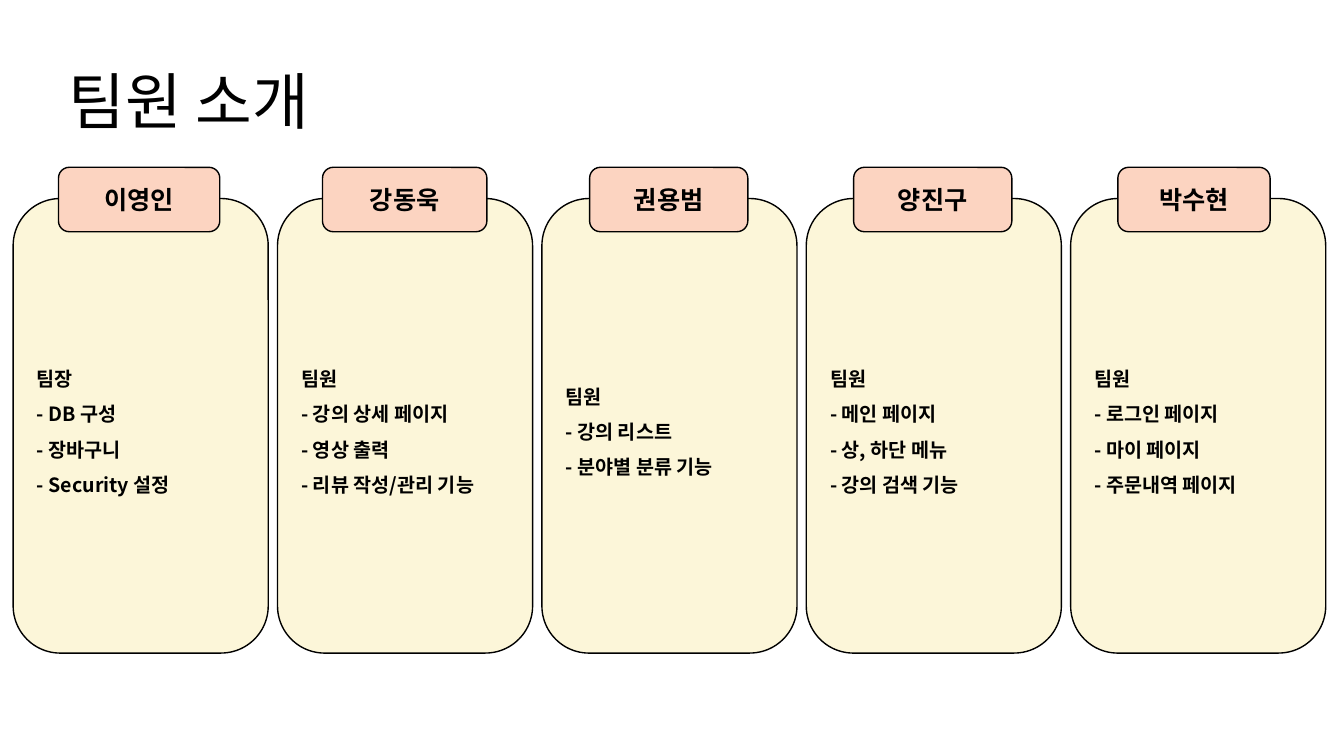
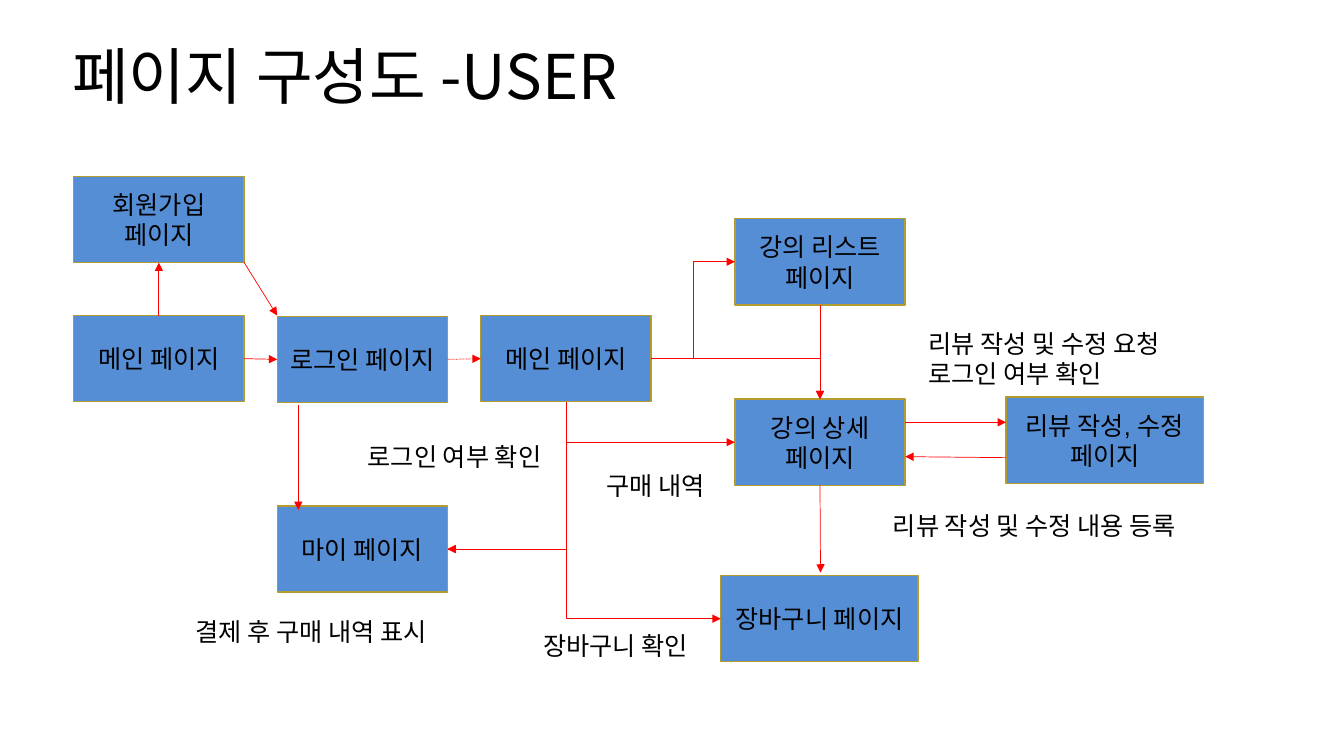
from dataclasses import dataclass

from lxml import etree
from pptx import Presentation
from pptx.dml.color import RGBColor
from pptx.enum.dml import MSO_LINE
from pptx.enum.shapes import MSO_CONNECTOR, MSO_SHAPE
from pptx.enum.text import MSO_ANCHOR, MSO_AUTO_SIZE, PP_ALIGN
from pptx.oxml.ns import qn
from pptx.util import Pt

RECTANGLE = MSO_SHAPE.RECTANGLE
ROUNDED = MSO_SHAPE.ROUNDED_RECTANGLE
STRAIGHT = MSO_CONNECTOR.STRAIGHT
ELBOW = MSO_CONNECTOR.ELBOW
DOTTED = MSO_LINE.ROUND_DOT
MIDDLE = MSO_ANCHOR.MIDDLE
FIT_SHAPE = MSO_AUTO_SIZE.SHAPE_TO_FIT_TEXT
LEFT_ALIGN = PP_ALIGN.LEFT
CENTER = PP_ALIGN.CENTER

# Connection sites of a rectangle
TOP, LEFT, BOTTOM, RIGHT = range(4)


@dataclass(frozen=True)
class Theme:
    ink: RGBColor = RGBColor(0, 0, 0)
    card: RGBColor = RGBColor(0xFC, 0xF6, 0xD9)
    name_tag: RGBColor = RGBColor(0xFC, 0xD4, 0xC1)
    page: RGBColor = RGBColor(0x55, 0x8E, 0xD5)
    page_border: RGBColor = RGBColor(0xB2, 0x9B, 0x2F)
    arrow: RGBColor = RGBColor(0xFF, 0, 0)
    korean_font: str = "Noto Sans CJK KR"
    diagram_font: str = "Arial"
    title_size: int = 44
    label_size: int = 18
    body_size: int = 14


THEME = Theme()

CARD_LEFT, CARD_TOP, CARD_PITCH = 9.4, 141.8, 188.85
CARD_WIDTH, CARD_HEIGHT = 182.2, 324.7
TAG_TOP, TAG_HEIGHT = 119.5, 46

# Name, tag left, tag width, role and duties
MEMBERS = [
    ("이영인", 41.8, 115.2, ["팀장", "- DB 구성", "- 장바구니", "- Security 설정"]),
    ("강동욱", 230.4, 117.4,
     ["팀원", "- 강의 상세 페이지", "- 영상 출력", "- 리뷰 작성/관리 기능"]),
    ("권용범", 421.2, 113, ["팀원", "- 강의 리스트", "- 분야별 분류 기능"]),
    ("양진구", 609.8, 113,
     ["팀원", "- 메인 페이지", "- 상, 하단 메뉴", "- 강의 검색 기능"]),
    ("박수현", 798.5, 108.7,
     ["팀원", "- 로그인 페이지", "- 마이 페이지", "- 주문내역 페이지"]),
]

PAGE_WIDTH, WIDE_PAGE_WIDTH, PAGE_HEIGHT = 121.7, 141.1, 61.6

# Key: text, left, top, width
PAGES = {
    "main": ("메인 페이지", 52.6, 225.4, PAGE_WIDTH),
    "login": ("로그인 페이지", 198, 225.9, PAGE_WIDTH),
    "signup": ("회원가입 페이지", 52.6, 126, PAGE_WIDTH),
    "list": ("강의 리스트 페이지", 524.9, 156.2, PAGE_WIDTH),
    "detail": ("강의 상세 페이지", 524.9, 285.1, PAGE_WIDTH),
    "review": ("리뷰 작성, 수정 페이지", 718.6, 283.7, WIDE_PAGE_WIDTH),
    "my": ("마이 페이지", 198, 361.4, PAGE_WIDTH),
    "cart": ("장바구니 페이지", 514.8, 411.1, WIDE_PAGE_WIDTH),
    "member_main": ("메인 페이지", 343.4, 225.4, PAGE_WIDTH),
}

# An end is a (page, site) pair or an (x, y) point
STRAIGHT_ARROWS = [
    (("main", TOP), ("signup", BOTTOM)),
    ((174.2, 187.2), (198, 225.4)),
    (("main", RIGHT), ("login", LEFT)),
    (("list", BOTTOM), ("detail", TOP)),
    ((213.1, 289.4), (213.1, 364.3)),
    (("detail", BOTTOM), (586.1, 409)),
    ((646.6, 301.7), (718.6, 301.7)),
    ((718.6, 326.9), (646.6, 326.2)),
]

# Text lines, left, top, width, height
NOTES = [
    (["로그인 여부 확인"], 255.6, 311.8, 152.6, 29),
    (["리뷰 작성 및 수정 요청", "로그인 여부 확인"], 655.9, 231.1, 200.2, 51),
    (["구매 내역"], 426.2, 332.6, 92.2, 29),
    (["결제 후 구매 내역 표시"], 132.5, 437, 198, 29),
    (["리뷰 작성 및 수정 내용 등록"], 630.7, 360.7, 241.9, 29),
    (["장바구니 확인"], 380.9, 446.4, 128.9, 29),
]


def in_points(*lengths):
    return [Pt(length) for length in lengths]


def write_lines(text_frame, lines, size, font_name=THEME.korean_font,
                bold=False, align=LEFT_ALIGN, spacing=None):
    for index, line in enumerate(lines):
        paragraph = (text_frame.add_paragraph() if index
                     else text_frame.paragraphs[0])
        paragraph.alignment = align
        paragraph.line_spacing = spacing
        run = paragraph.add_run()
        run.text = line
        font = run.font
        font.name, font.size, font.bold = font_name, Pt(size), bold
        font.color.rgb = THEME.ink
        east_asian = etree.Element(qn("a:ea"), typeface=THEME.korean_font)
        run._r.rPr.find(qn("a:latin")).addnext(east_asian)


def add_title(slide, text, left, top):
    box = slide.shapes.add_textbox(*in_points(left, top, 634, 57))
    box.text_frame.word_wrap = True
    box.text_frame.vertical_anchor = MIDDLE
    write_lines(box.text_frame, [text], THEME.title_size, spacing=0.9)


def add_box(slide, kind, bounds, fill, border):
    shape = slide.shapes.add_shape(kind, *in_points(*bounds))
    shape.shadow.inherit = False
    shape.fill.solid()
    shape.fill.fore_color.rgb = fill
    shape.line.color.rgb = border
    shape.line.width = Pt(1)
    shape.text_frame.word_wrap = True
    shape.text_frame.vertical_anchor = MIDDLE
    return shape


def add_member_card(slide, left, lines):
    bounds = (left, CARD_TOP, CARD_WIDTH, CARD_HEIGHT)
    card = add_box(slide, ROUNDED, bounds, THEME.card, THEME.ink)
    card.adjustments[0] = 0.185
    write_lines(card.text_frame, lines, THEME.body_size, bold=True, spacing=1.5)


def add_name_tag(slide, name, left, width):
    bounds = (left, TAG_TOP, width, TAG_HEIGHT)
    tag = add_box(slide, ROUNDED, bounds, THEME.name_tag, THEME.ink)
    write_lines(tag.text_frame, [name], THEME.label_size, bold=True, align=CENTER)


def add_page(slide, text, left, top, width):
    bounds = (left, top, width, PAGE_HEIGHT)
    page = add_box(slide, RECTANGLE, bounds, THEME.page, THEME.page_border)
    write_lines(page.text_frame, [text], THEME.label_size,
                THEME.diagram_font, align=CENTER)
    return page


def add_note(slide, lines, *bounds):
    box = slide.shapes.add_textbox(*in_points(*bounds))
    box.text_frame.word_wrap = False
    box.text_frame.auto_size = FIT_SHAPE
    write_lines(box.text_frame, lines, THEME.label_size, THEME.diagram_font)


def add_arrow(slide, pages, start, end, kind=STRAIGHT, heads=("tailEnd",),
              dash=None):
    """Join two ends; tailEnd puts the arrowhead at end, headEnd at start."""
    connector = slide.shapes.add_connector(kind, 0, 0, 0, 0)
    if start[0] in pages:
        connector.begin_connect(pages[start[0]], start[1])
    else:
        connector.begin_x, connector.begin_y = in_points(*start)
    if end[0] in pages:
        connector.end_connect(pages[end[0]], end[1])
    else:
        connector.end_x, connector.end_y = in_points(*end)
    connector.line.color.rgb = THEME.arrow
    connector.line.width = Pt(0.5)
    if dash is not None:
        connector.line.dash_style = dash
    for head in heads:
        etree.SubElement(connector.get_or_add_ln(), qn(f"a:{head}"),
                         type="triangle")
    etree.SubElement(connector._element.spPr, qn("a:effectLst"))
    return connector


def add_corner_arrow(slide, pages, start, end, **options):
    """Run horizontally from start, then turn once towards end."""
    connector = add_arrow(slide, pages, start, end, ELBOW, **options)
    geometry = connector._element.spPr.find(qn("a:prstGeom"))
    geometry.set("prst", "bentConnector2")


def add_step_arrow(slide, pages, start, end, turn=0.5, **options):
    """Turn twice, first at the given share of the width."""
    connector = add_arrow(slide, pages, start, end, ELBOW, **options)
    geometry = connector._element.spPr.find(qn("a:prstGeom"))
    guides = geometry.find(qn("a:avLst"))
    if guides is None:
        guides = etree.SubElement(geometry, qn("a:avLst"))
    etree.SubElement(guides, qn("a:gd"), name="adj1",
                     fmla=f"val {round(turn * 100000)}")


def build_team_slide(slide):
    add_title(slide, "팀원 소개", 41.8, 46.1)
    for index, (_, _, _, lines) in enumerate(MEMBERS):
        add_member_card(slide, CARD_LEFT + index * CARD_PITCH, lines)
    for name, left, width, _ in MEMBERS:
        add_name_tag(slide, name, left, width)


def build_page_map_slide(slide):
    add_title(slide, "페이지 구성도 -USER", 44.6, 28.5)
    pages = {key: add_page(slide, *page) for key, page in PAGES.items()}
    for start, end in STRAIGHT_ARROWS:
        add_arrow(slide, pages, start, end)
    add_arrow(slide, pages, ("login", RIGHT), ("member_main", LEFT), dash=DOTTED)
    add_corner_arrow(slide, pages, ("member_main", RIGHT), ("detail", TOP))
    add_corner_arrow(slide, pages, ("my", RIGHT), ("member_main", BOTTOM),
                     heads=("headEnd",))
    add_step_arrow(slide, pages, ("member_main", RIGHT), ("list", LEFT))
    add_step_arrow(slide, pages, ("my", RIGHT), ("detail", LEFT), turn=0.412)
    add_step_arrow(slide, pages, ("my", RIGHT), ("cart", LEFT), turn=0.435,
                   heads=("headEnd", "tailEnd"))
    for note in NOTES:
        add_note(slide, *note)


def main():
    presentation = Presentation()
    presentation.slide_width, presentation.slide_height = in_points(960, 540)
    blank_layout = presentation.slide_layouts[6]
    for build in (build_team_slide, build_page_map_slide):
        build(presentation.slides.add_slide(blank_layout))
    presentation.save("out.pptx")


if __name__ == "__main__":
    main()
